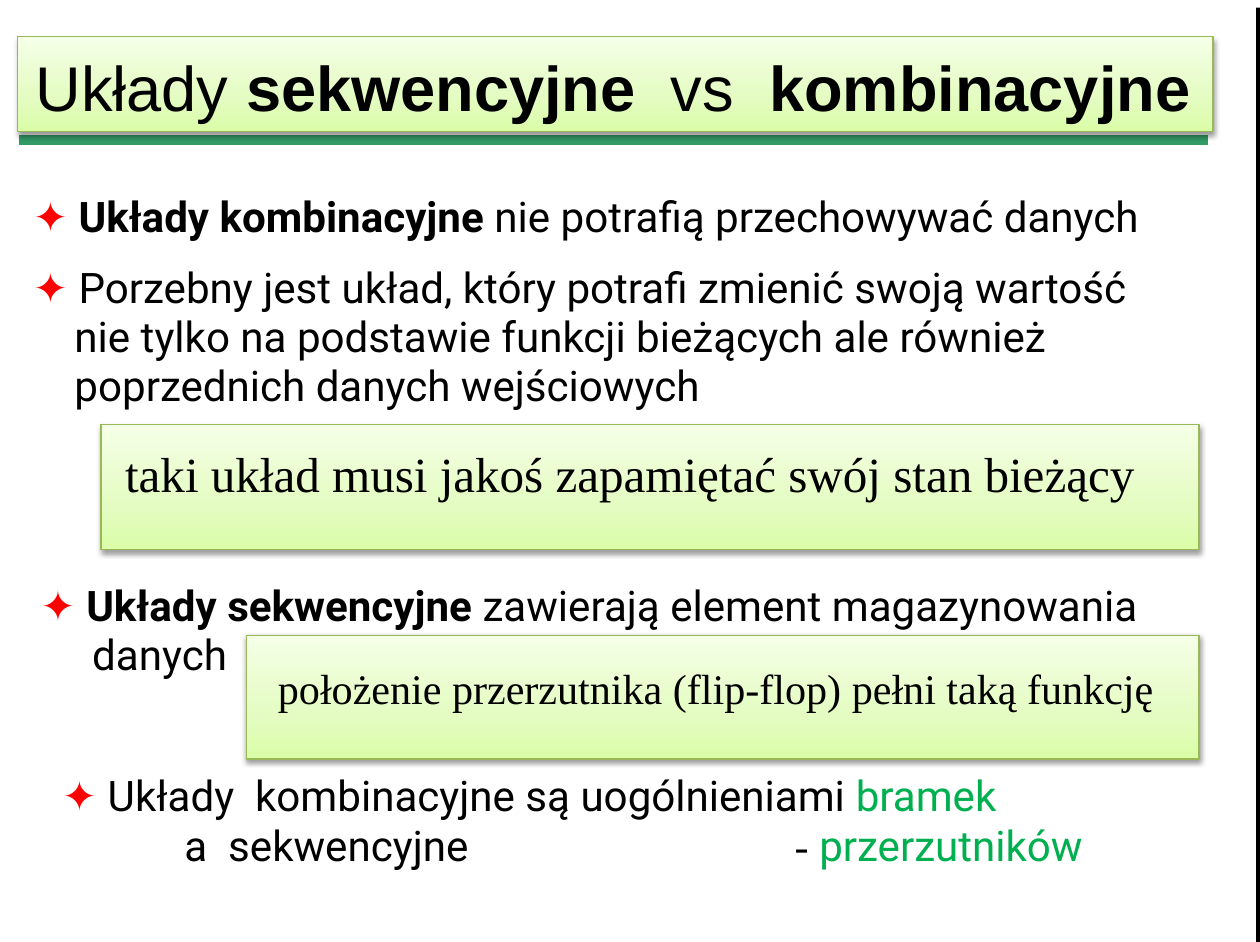
from copy import deepcopy

from lxml.etree import SubElement
from pptx import Presentation
from pptx.dml.color import RGBColor
from pptx.enum.shapes import MSO_CONNECTOR as LINE, MSO_SHAPE as SHAPE
from pptx.enum.text import MSO_ANCHOR as ANCHOR, MSO_AUTO_SIZE as FIT, PP_ALIGN as ALIGN
from pptx.oxml.ns import qn
from pptx.util import Inches, Pt

COLORS = {
    "text": "000000", "paper": "FFFFFF", "star": "FF0000", "accent": "00B050",
    "rule": "339A65", "border": "98B955", "low": "DAFDA7", "middle": "E4FCC2", "high": "F5FFE7",
}
STAR = ("✦ ", {"color": "star"})


def write(shape, lines, size, spacing, font, left=0, top=0, indent=0):
    """Fill the shape with one paragraph per line of (text, format) runs; indent all but the first."""
    frame = shape.text_frame
    settings = {
        "word_wrap": True, "auto_size": FIT.NONE, "vertical_anchor": ANCHOR.TOP,
        "margin_left": Inches(left), "margin_top": Inches(top),
        "margin_right": 0, "margin_bottom": Inches(0.05),
    }
    for name, value in settings.items():
        setattr(frame, name, value)
    for number, runs in enumerate(lines):
        para = frame.add_paragraph() if number else frame.paragraphs[0]
        layout = {"alignment": ALIGN.LEFT, "line_spacing": Pt(spacing), "space_before": Pt(0)}
        for name, value in layout.items():
            setattr(para, name, value)
        if number:
            para._p.get_or_add_pPr().set("marL", str(Inches(indent)))
        for text, style in runs:
            span = para.add_run()
            span.text = text
            span.font.color.rgb = RGBColor.from_string(COLORS[style.get("color", "text")])
            look = {"name": style.get("font", font), "size": Pt(size),
                    "bold": style.get("bold", False)}
            for name, value in look.items():
                setattr(span.font, name, value)


def style_panel(shape):
    """Give the shape the green gradient, thin border and soft shadow."""
    shape.fill.gradient()
    shape.fill.gradient_angle = 90
    properties = shape.element.spPr
    stop_list = properties.find(".//" + qn("a:gsLst"))
    stop_list.insert(1, deepcopy(stop_list[0]))
    steps = (("low", 0), ("middle", 0.35), ("high", 1))
    for stop, (color, position) in zip(shape.fill.gradient_stops, steps):
        stop.color.rgb = RGBColor.from_string(COLORS[color])
        stop.position = position
    shape.line.color.rgb = RGBColor.from_string(COLORS["border"])
    shape.line.width = Pt(0.75)
    shape.shadow.inherit = False
    shadow = SubElement(properties.find(qn("a:effectLst")), qn("a:outerShdw"),
                        blurRad=str(Pt(3.1)), dist=str(Pt(1.6)), dir="5400000", rotWithShape="0")
    black = SubElement(shadow, qn("a:srgbClr"), val=COLORS["text"])
    SubElement(black, qn("a:alpha"), val="38000")


deck = Presentation()
deck.slide_width, deck.slide_height = Pt(718), Pt(537)
page = deck.slides.add_slide(deck.slide_layouts[5])
shapes = page.shapes

# Sheet of paper over its dark edge
sheets = [((0.07, 0.06, 9.92, 7.42), "text"), ((-0.06, -0.02, 10, 7.5), "paper")]
for place, color in sheets:
    sheet = shapes.add_shape(SHAPE.RECTANGLE, *map(Inches, place))
    sheet.fill.solid()
    sheet.fill.fore_color.rgb = RGBColor.from_string(COLORS[color])
    sheet.line.fill.background()
    sheet.shadow.inherit = False

rule = shapes.add_connector(LINE.STRAIGHT, Inches(0.15), Inches(1.11), Inches(9.56), Inches(1.11))
rule.line.color.rgb = RGBColor.from_string(COLORS["rule"])
rule.line.width = Pt(6)
SubElement(rule.element.spPr, qn("a:effectLst"))

# Title, brought in front of the sheets
title = shapes.title
title.element.getparent().append(title.element)
title.left, title.top, title.width, title.height = map(Inches, (0.14, 0.29, 9.46, 0.75))
style_panel(title)
write(title, [[("Układy ", {}), ("sekwencyjne ", {"bold": True}), (" vs  ", {}),
               ("kombinacyjne", {"bold": True})]], 36, 50, "Arial", left=0.14)

# Starred points: place, indent of the following lines, lines
points = [
    ((0.26, 1.52, 9.34, 0.44), 0,
     [[STAR, ("Układy kombinacyjne ", {"bold": True}), ("nie potrafią przechowywać danych", {})]]),
    ((0.26, 2.08, 8.86, 1.23), 0.33,
     [[STAR, ("Porzebny jest układ, który potrafi zmienić swoją wartość", {})],
      [("nie tylko na podstawie funkcji bieżących ale również", {})],
      [("poprzednich danych wejściowych", {})]]),
    ((0.32, 4.6, 9.11, 0.84), 0.41,
     [[STAR, ("Układy sekwencyjne ", {"bold": True}), ("zawierają element magazynowania", {})],
      [("danych", {})]]),
    ((0.49, 6.1, 7.73, 0.44), 0,
     [[STAR, ("Układy  kombinacyjne są uogólnieniami ", {}), ("bramek", {"color": "accent"})]]),
]
for place, indent, lines in points:
    write(shapes.add_textbox(*map(Inches, place)), lines, 24, 28, "Roboto", indent=indent)

# Second half of the last point, with the dash at a tab stop
closing = shapes.add_textbox(*map(Inches, (0.8, 6.5, 8, 0.44)))
write(closing, [[("a  sekwencyjne\t", {}), ("- ", {"font": "Times New Roman"}),
                 ("przerzutników", {"color": "accent"})]], 24, 28, "Roboto", left=0.66)
tabs = SubElement(closing.text_frame.paragraphs[0]._p.get_or_add_pPr(), qn("a:tabLst"))
SubElement(tabs, qn("a:tab"), pos=str(Inches(4.83)), algn="l")

# Highlighted conclusions
conclusions = [
    ((0.8, 3.36, 8.69, 0.99), "taki układ musi jakoś zapamiętać swój stan bieżący", 28, 0.19),
    ((1.95, 5.03, 7.54, 0.98), "położenie przerzutnika (flip-flop) pełni taką funkcję", 24, 0.25),
]
for place, text, size, left in conclusions:
    panel = shapes.add_shape(SHAPE.RECTANGLE, *map(Inches, place))
    style_panel(panel)
    write(panel, [[(text, {})]], size, 22, "Times New Roman", left=left, top=0.31)

deck.save("out.pptx")
